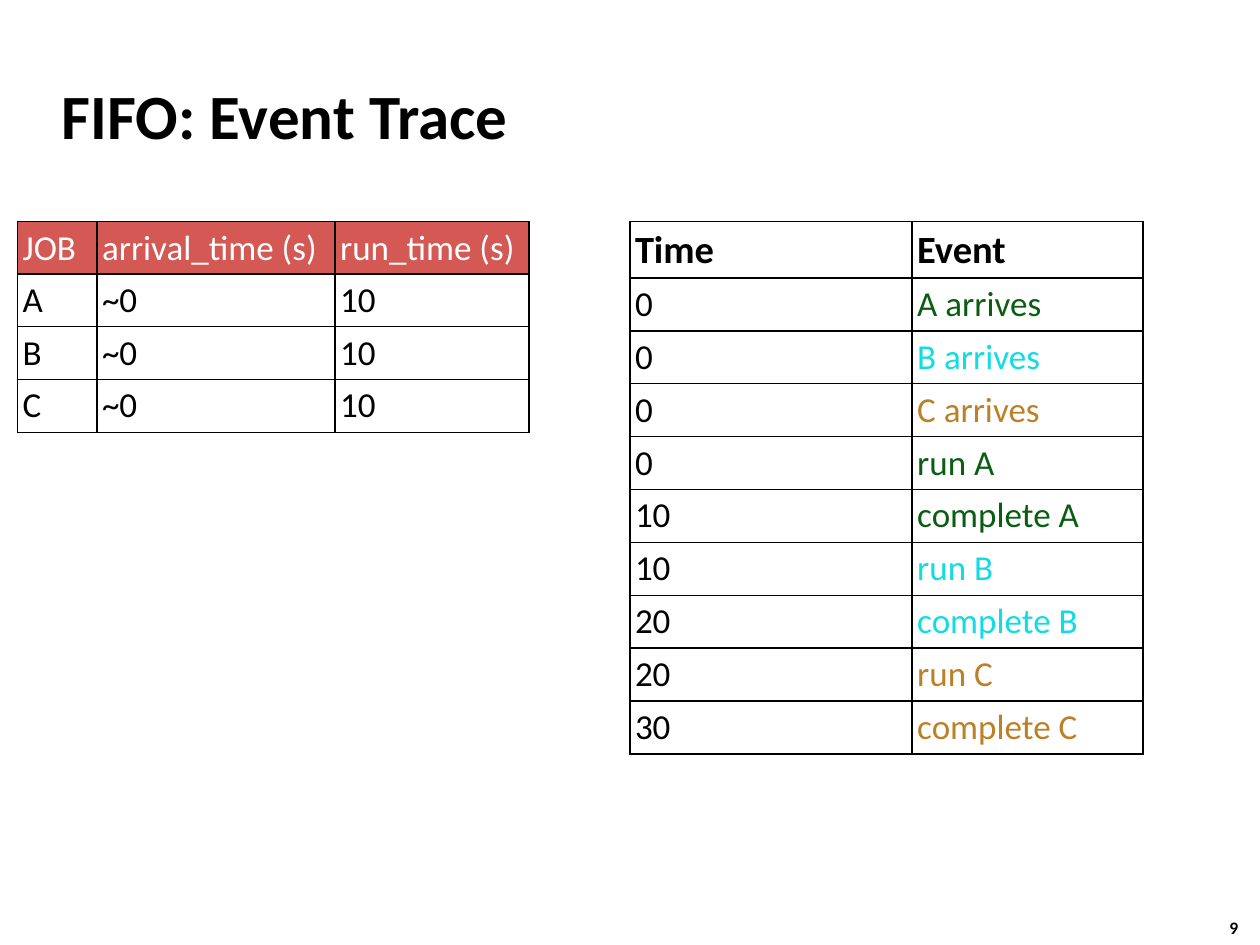
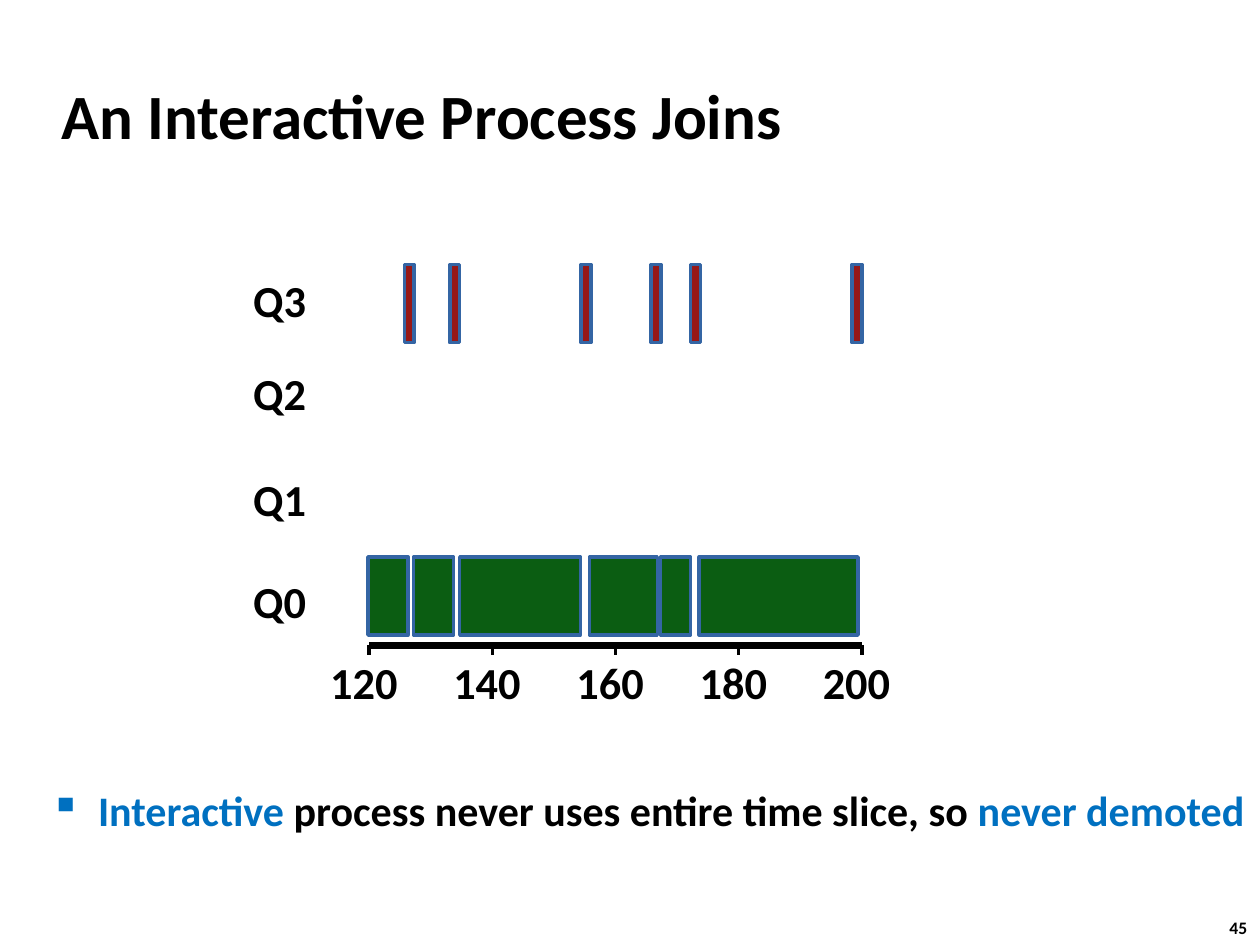
from lxml import etree
from pptx import Presentation
from pptx.dml.color import RGBColor
from pptx.enum.shapes import MSO_CONNECTOR, MSO_SHAPE
from pptx.enum.text import MSO_ANCHOR, MSO_AUTO_SIZE
from pptx.oxml import parse_xml
from pptx.oxml.ns import nsdecls, qn
from pptx.util import Inches, Pt

BLACK = RGBColor(0x00, 0x00, 0x00)
WHITE = RGBColor(0xFF, 0xFF, 0xFF)
GREEN = RGBColor(0x0B, 0x5D, 0x12)
CYAN = RGBColor(0x11, 0xDB, 0xE3)
OCHRE = RGBColor(0xBC, 0x80, 0x27)
CORAL = RGBColor(0xD4, 0x59, 0x54)
DARK_RED = RGBColor(0x97, 0x18, 0x17)
OUTLINE_BLUE = RGBColor(0x34, 0x65, 0xA4)
ACCENT_BLUE = RGBColor(0x00, 0x70, 0xC0)
FONT = "Calibri"
CELL_INSET = Inches(0.04)

presentation = Presentation()
presentation.slide_width = Inches(10)
presentation.slide_height = Inches(7.5)
# All places and lengths below count the columns and rows of a 100 x 75 grid.
COLUMN = presentation.slide_width / 100
ROW = presentation.slide_height / 75


def add_text(slide, left, top, width, height, runs, size, anchor=MSO_ANCHOR.TOP,
             inset=None, wrap=False, indent=0, bullet=None):
    """Add a bold one-paragraph text box; runs holds (text, colour) pairs."""
    box = slide.shapes.add_textbox(int(left * COLUMN), int(top * ROW),
                                   int(width * COLUMN), int(height * ROW))
    frame = box.text_frame
    frame.word_wrap = wrap
    frame.auto_size = MSO_AUTO_SIZE.NONE if wrap else MSO_AUTO_SIZE.SHAPE_TO_FIT_TEXT
    frame.vertical_anchor = anchor
    if inset is not None:
        frame.margin_left = frame.margin_right = inset
        frame.margin_top = frame.margin_bottom = inset
    paragraph = frame.paragraphs[0]
    if indent:
        properties = paragraph._p.get_or_add_pPr()
        properties.set("marL", str(int(indent * COLUMN)))
        properties.set("indent", str(int(-indent * COLUMN)))
        if bullet:
            etree.SubElement(properties, qn("a:buChar")).set("char", bullet)
    for text, colour in runs:
        run = paragraph.add_run()
        run.text = text
        run.font.name, run.font.size, run.font.bold = FONT, Pt(size), True
        run.font.color.rgb = colour


def add_line(slide, x1, y1, x2, y2, weight):
    line = slide.shapes.add_connector(MSO_CONNECTOR.STRAIGHT, int(x1 * COLUMN), int(y1 * ROW),
                                      int(x2 * COLUMN), int(y2 * ROW))
    line.line.color.rgb = BLACK
    line.line.width = Pt(weight)
    etree.SubElement(line._element.spPr, qn("a:effectLst"))


# Titles and page numbers
slides = []
for title, page in [("FIFO: Event Trace", "9"), ("An Interactive Process Joins", "45")]:
    slide = presentation.slides.add_slide(presentation.slide_layouts[6])
    add_text(slide, 96.6, 72.3, 3.7, 2.7, [(page, BLACK)], 10)
    add_text(slide, 3.9, 4.9, 83, 8.3, [(title, BLACK)], 36,
             MSO_ANCHOR.MIDDLE, wrap=True, indent=1.3)
    slides.append(slide)
trace_slide, queue_slide = slides

# Slide 1: the trace of events and the jobs behind it
JOB_COLOURS = {"A": GREEN, "B": CYAN, "C": OCHRE}
events = [("0", "A arrives", "A"), ("0", "B arrives", "B"), ("0", "C arrives", "C"),
          ("0", "run A", "A"), ("10", "complete A", "A"), ("10", "run B", "B"),
          ("20", "complete B", "B"), ("20", "run C", "C"), ("30", "complete C", "C")]
event_rows = [[("Time", BLACK), ("Event", BLACK)]]
event_rows += [[(time, BLACK), (event, JOB_COLOURS[job])] for time, event, job in events]
job_rows = [[(name, WHITE) for name in ("JOB", "arrival_time (s)", "run_time (s)")]]
job_rows += [[(job, BLACK), ("~0", BLACK), ("10", BLACK)] for job in JOB_COLOURS]

tables = [  # left, column widths, header height, header size, bold, header fill, rows
    (50, (22.4, 18.3), 4.4, 22, True, None, event_rows),
    (1.4, (6.3, 18.9, 15.4), 4.1, 20, False, CORAL, job_rows),
]
for left, widths, header_height, header_size, header_bold, header_fill, rows in tables:
    heights = [header_height] + [4.2] * (len(rows) - 1)
    table = trace_slide.shapes.add_table(
        len(rows), len(widths), int(left * COLUMN), int(17.6 * ROW),
        int(sum(widths) * COLUMN), int(sum(heights) * ROW)).table
    table.first_row = table.horz_banding = False
    for table_column, width in zip(table.columns, widths):
        table_column.width = int(width * COLUMN)
    for row_index, row in enumerate(rows):
        table.rows[row_index].height = int(heights[row_index] * ROW)
        is_header = row_index == 0
        for column_index, (text, colour) in enumerate(row):
            cell = table.cell(row_index, column_index)
            cell.margin_left = cell.margin_right = CELL_INSET
            cell.margin_top = cell.margin_bottom = CELL_INSET
            cell.vertical_anchor = MSO_ANCHOR.MIDDLE
            for side in ("lnL", "lnR", "lnT", "lnB"):
                cell._tc.get_or_add_tcPr().append(parse_xml(
                    f'<a:{side} {nsdecls("a")} w="{Pt(1)}"><a:solidFill>'
                    f'<a:srgbClr val="{BLACK}"/></a:solidFill></a:{side}>'))
            if is_header and header_fill:
                cell.fill.solid()
                cell.fill.fore_color.rgb = header_fill
            else:
                cell.fill.background()
            run = cell.text_frame.paragraphs[0].add_run()
            run.text = text
            run.font.name = FONT
            run.font.size = Pt(header_size if is_header else 20)
            run.font.bold = is_header and header_bold
            run.font.color.rgb = colour

# Slide 2: the time axis
AXIS_LEFT, AXIS_RIGHT, AXIS_TOP = 29.3, 68.4, 51.2
FIRST_TIME, LAST_TIME, TIME_STEP = 120, 200, 20
TIME_UNIT = (AXIS_RIGHT - AXIS_LEFT) / (LAST_TIME - FIRST_TIME)
LABEL = dict(size=25.3, anchor=MSO_ANCHOR.MIDDLE, inset=CELL_INSET)

add_line(queue_slide, AXIS_LEFT, AXIS_TOP, AXIS_RIGHT, AXIS_TOP, 4)
for time in range(FIRST_TIME, LAST_TIME + 1, TIME_STEP):
    x = AXIS_LEFT + (time - FIRST_TIME) * TIME_UNIT
    add_line(queue_slide, x, AXIS_TOP, x, AXIS_TOP + 0.8, 2)
    add_text(queue_slide, x - 3.5, 51.6, 6.2, 5, [(str(time), BLACK)], **LABEL)

for queue, top in [("Q3", 21.3), ("Q2", 28.7), ("Q1", 37.1), ("Q0", 45.2)]:
    add_text(queue_slide, 19.7, top, 5, 5, [(queue, BLACK)], **LABEL)

# Time slices as (start, duration): long ones in Q0, short interactive ones in Q3
batch_slices = [(119.8, 6.5), (127.2, 6.5), (134.7, 19.6),
                (155.8, 11), (167.3, 4.9), (173.6, 25.8)]
interactive_slices = [(start, 1.6) for start in (125.7, 133.1, 154.4, 165.8, 172.2, 198.4)]
for slices, top, colour in [(batch_slices, 44.2, GREEN), (interactive_slices, 21, DARK_RED)]:
    for start, duration in slices:
        bar = queue_slide.shapes.add_shape(
            MSO_SHAPE.RECTANGLE,
            int((AXIS_LEFT + (start - FIRST_TIME) * TIME_UNIT) * COLUMN), int(top * ROW),
            int(duration * TIME_UNIT * COLUMN), int(6.2 * ROW))
        bar.shadow.inherit = False
        bar.fill.solid()
        bar.fill.fore_color.rgb = colour
        bar.line.color.rgb = OUTLINE_BLUE
        bar.line.width = Pt(2)

add_text(queue_slide, 3, 61.8, 97.8, 5,
         [("Interactive", ACCENT_BLUE),
          (" process never uses entire time slice, so ", BLACK),
          ("never demoted", ACCENT_BLUE)],
         24, indent=3.8, bullet="▪")

presentation.save("out.pptx")
